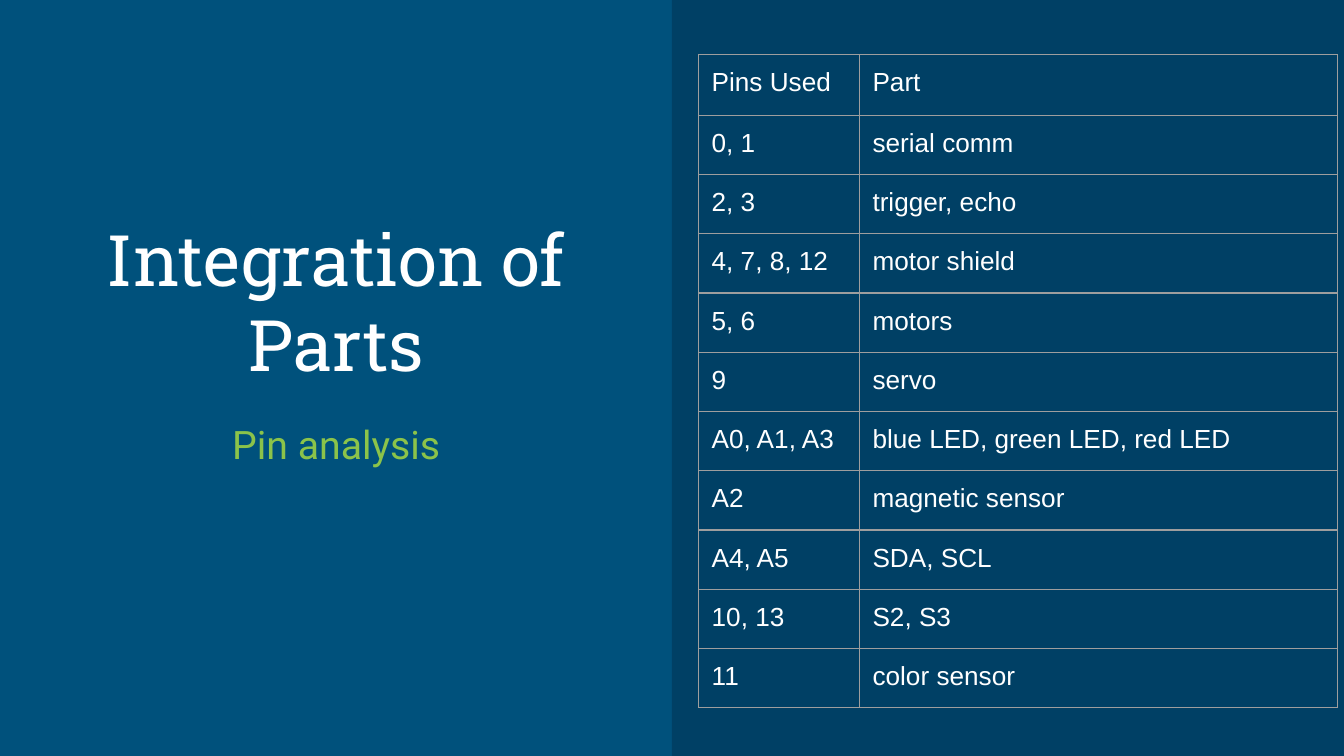
from dataclasses import dataclass

from lxml import etree
from pptx import Presentation
from pptx.dml.color import RGBColor
from pptx.enum import shapes, text
from pptx.oxml import ns
from pptx.util import Cm, Pt


@dataclass(frozen=True)
class Theme:
    back: str = "00517C"
    panel: str = "004065"
    white: str = "FFFFFF"
    green: str = "8BC34A"
    rule: str = "9E9E9E"
    title: int = 38
    sub: int = 21
    cell: int = 14


theme = Theme()
PAD = Cm(0.25)


def write(frame, words, font, size, color):
    run = frame.paragraphs[0].add_run()
    run.text = words
    run.font.name = font
    run.font.size = Pt(size)
    run.font.color.rgb = RGBColor.from_string(color)


def border(cell):
    """Draw a thin rule on all four sides of a cell."""
    props = cell._tc.get_or_add_tcPr()
    for i, side in enumerate(("lnL", "lnR", "lnT", "lnB")):
        line = etree.Element(ns.qn(f"a:{side}"), w=str(Pt(0.75)))
        fill = etree.SubElement(line, ns.qn("a:solidFill"))
        etree.SubElement(fill, ns.qn("a:srgbClr"), val=theme.rule)
        props.insert(i, line)


deck = Presentation()
deck.slide_width, deck.slide_height = Cm(25.4), Cm(14.29)
slide = deck.slides.add_slide(deck.slide_layouts[6])
slide.background.fill.solid()
slide.background.fill.fore_color.rgb = RGBColor.from_string(theme.back)

# Right half
panel = slide.shapes.add_shape(
    shapes.MSO_SHAPE.RECTANGLE, Cm(12.7), 0, Cm(12.7), deck.slide_height)
panel.shadow.inherit = False
panel.fill.solid()
panel.fill.fore_color.rgb = RGBColor.from_string(theme.panel)
panel.line.fill.background()

# Title and subtitle
heads = [
    ("Integration of Parts", 3.35, 4.19, text.MSO_ANCHOR.BOTTOM,
     "Roboto Slab", theme.title, theme.white),
    ("Pin analysis", 7.7, 3.73, text.MSO_ANCHOR.TOP,
     "Roboto", theme.sub, theme.green),
]
for words, top, height, anchor, font, size, color in heads:
    box = slide.shapes.add_textbox(Cm(0.74), Cm(top), Cm(11.23), Cm(height))
    frame = box.text_frame
    frame.word_wrap = True
    frame.vertical_anchor = anchor
    frame.margin_left = frame.margin_right = PAD
    frame.margin_top = frame.margin_bottom = PAD
    frame.paragraphs[0].alignment = text.PP_ALIGN.CENTER
    write(frame, words, font, size, color)

# Pin table
pins = [
    ("Pins Used", "Part"),
    ("0, 1", "serial comm"),
    ("2, 3", "trigger, echo"),
    ("4, 7, 8, 12", "motor shield"),
    ("5, 6", "motors"),
    ("9", "servo"),
    ("A0, A1, A3", "blue LED, green LED, red LED"),
    ("A2", "magnetic sensor"),
    ("A4, A5", "SDA, SCL"),
    ("10, 13", "S2, S3"),
    ("11", "color sensor"),
]
widths = [Cm(3.04), Cm(9.04)]
high = Cm(1.12)
grid = slide.shapes.add_table(
    len(pins), 2, Cm(13.2), Cm(1.03), sum(widths), high * len(pins)).table
for col, width in zip(grid.columns, widths):
    col.width = width
for row, line in zip(grid.rows, pins):
    row.height = high
    for cell, words in zip(row.cells, line):
        cell.fill.background()
        cell.margin_left = cell.margin_right = PAD
        cell.margin_top = cell.margin_bottom = PAD
        border(cell)
        write(cell.text_frame, words, "Arial", theme.cell, theme.white)
grid.rows[0].height = Cm(1.15)

deck.save("out.pptx")
